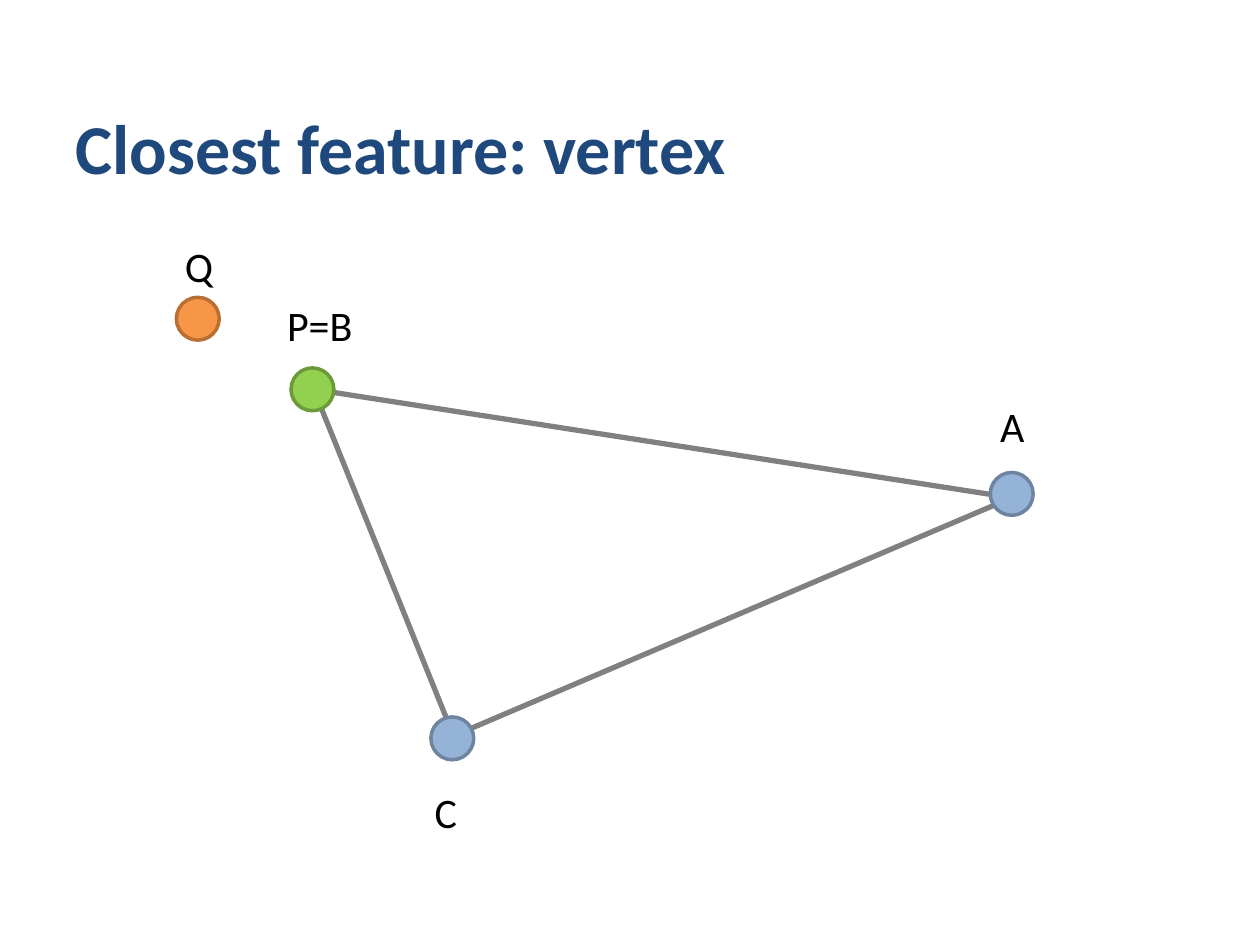
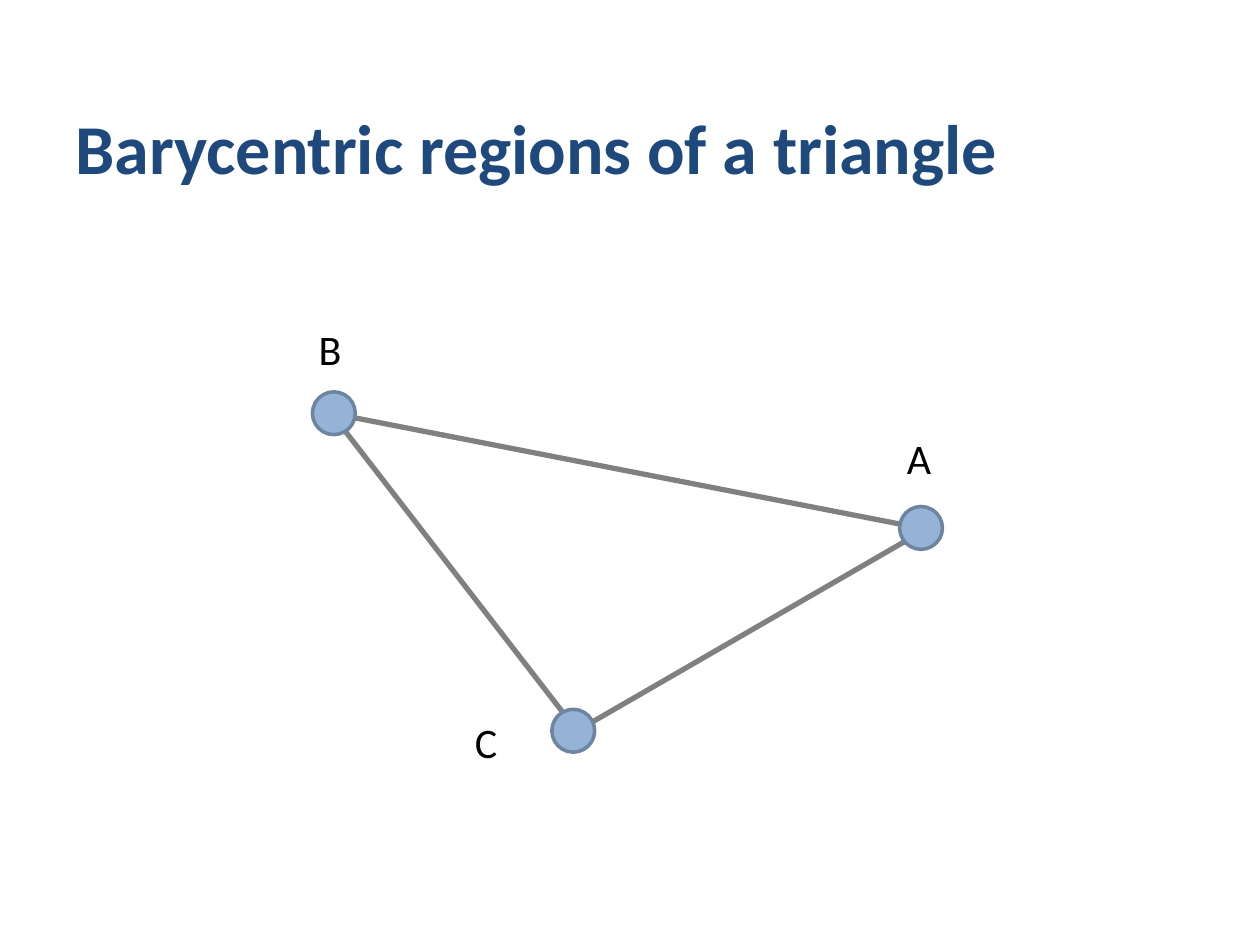
from pptx import Presentation
from pptx.dml.color import RGBColor
from pptx.enum.shapes import MSO_SHAPE
from pptx.enum.text import MSO_ANCHOR, MSO_AUTO_SIZE as FIT, PP_ALIGN
from pptx.util import Pt

PX = 9144  # EMU in one px, 100 px to the inch
COLORS = {
    "title": "1F497D", "label": "000000", "edge": "808080",
    "vertex": "95B3D7", "vertex_rim": "6E849F",
    "closest": "92D050", "closest_rim": "6C9A3B",
    "query": "F79646", "query_rim": "B76F34",
}
FONTS = {
    "title": {"name": "Calibri", "size": Pt(40), "bold": True},
    "label": {"name": "Calibri", "size": Pt(24)},
}
TITLE_AREA = (50, 13, 825, 142)
DOT = 34
LABEL_HEIGHT = 50
LABEL_WIDTHS = {"A": 40, "B": 38, "C": 38, "Q": 43, "P=B": 73}

SLIDES = [
    {
        "title": "Closest feature: vertex",
        "triangle": [(249, 309), (360, 584), (803, 395)],
        "points": [("C", "vertex", (342, 569), (335, 619)),
                   ("A", "vertex", (786, 375), (784, 313)),
                   ("P=B", "closest", (231, 292), (218, 233)),
                   ("Q", "query", (140, 236), (137, 186))],
    },
    {
        "title": "Barycentric regions of a triangle",
        "triangle": [(263, 328), (458, 580), (735, 420)],
        "points": [("A", "vertex", (714, 402), (710, 338)),
                   ("B", "vertex", (248, 311), (243, 252)),
                   ("C", "vertex", (438, 563), (367, 564))],
    },
]


def px(*lengths):
    """Turn px lengths into EMU."""
    return [length * PX for length in lengths]


def rgb(role):
    """Give the colour of a role."""
    return RGBColor.from_string(COLORS[role])


def write(frame, text, role):
    """Put one formatted paragraph into a text frame."""
    frame.text = text
    paragraph = frame.paragraphs[0]
    paragraph.alignment = PP_ALIGN.LEFT
    for key, value in FONTS[role].items():
        setattr(paragraph.font, key, value)
    paragraph.font.color.rgb = rgb(role)


def outline(part, role, width):
    """Draw the line of a part without a shadow."""
    part.shadow.inherit = False
    part.line.color.rgb = rgb(role)
    part.line.width = Pt(width)


def add_title(slide, text):
    """Place and fill the title placeholder."""
    title = slide.shapes.title
    title.left, title.top, title.width, title.height = px(*TITLE_AREA)
    frame = title.text_frame
    frame.auto_size = FIT.NONE
    frame.vertical_anchor = MSO_ANCHOR.BOTTOM
    write(frame, text, "title")


def add_triangle(slide, corners):
    """Draw the unfilled triangle."""
    builder = slide.shapes.build_freeform(*corners[0], scale=PX)
    builder.add_line_segments(corners[1:], close=True)
    triangle = builder.convert_to_shape()
    triangle.fill.background()
    outline(triangle, "edge", 3)


def add_point(slide, name, role, dot_corner, label_corner):
    """Draw a dot and its label."""
    dot = slide.shapes.add_shape(MSO_SHAPE.OVAL, *px(*dot_corner, DOT, DOT))
    dot.fill.solid()
    dot.fill.fore_color.rgb = rgb(role)
    outline(dot, f"{role}_rim", 2)
    label = slide.shapes.add_textbox(
        *px(*label_corner, LABEL_WIDTHS[name], LABEL_HEIGHT))
    label.text_frame.word_wrap = False
    label.text_frame.auto_size = FIT.SHAPE_TO_FIT_TEXT
    write(label.text_frame, name, "label")


def main():
    """Build and save the slides."""
    deck = Presentation()
    deck.slide_width, deck.slide_height = px(1000, 750)
    for content in SLIDES:
        slide = deck.slides.add_slide(deck.slide_layouts[5])
        add_title(slide, content["title"])
        add_triangle(slide, content["triangle"])
        for point in content["points"]:
            add_point(slide, *point)
    deck.save("out.pptx")


if __name__ == "__main__":
    main()
